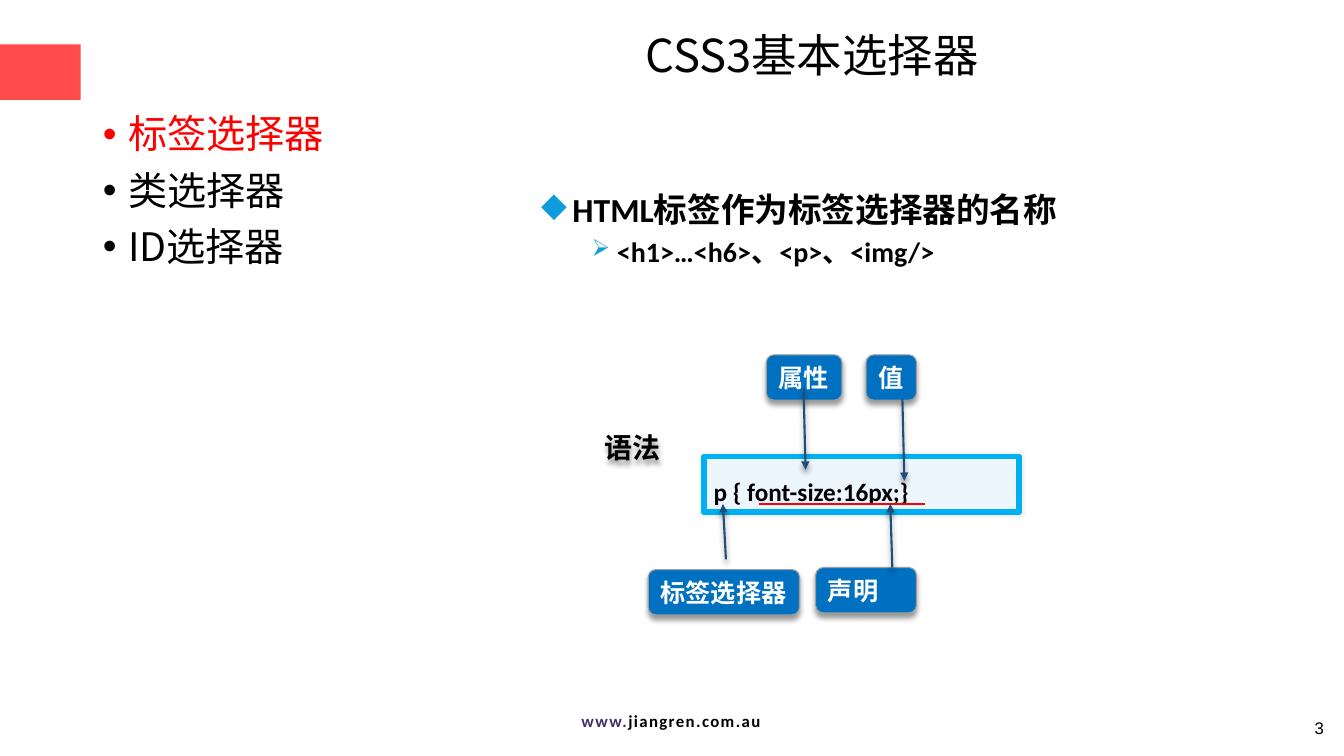
from lxml import etree
from pptx import Presentation
from pptx.dml.color import RGBColor
from pptx.enum.shapes import MSO_CONNECTOR, MSO_SHAPE
from pptx.enum.text import MSO_ANCHOR, MSO_AUTO_SIZE, PP_ALIGN
from pptx.oxml.ns import qn
from pptx.util import Emu, Pt

PX = 9144  # 100 px to the inch
CJK, LATIN, SANS = "Noto Sans CJK SC", "Calibri", "Arial"
BLACK, WHITE, RED = "000000", "FFFFFF", "FF0000"
BLUE, ARROW, BULLET = "0070C0", "1F4E79", "0E9CDE"
LEFT, CENTER, RIGHT = PP_ALIGN.LEFT, PP_ALIGN.CENTER, PP_ALIGN.RIGHT
TOP, MIDDLE, BOTTOM = MSO_ANCHOR.TOP, MSO_ANCHOR.MIDDLE, MSO_ANCHOR.BOTTOM
RECT, ROUNDED = MSO_SHAPE.RECTANGLE, MSO_SHAPE.ROUNDED_RECTANGLE
CALLOUT = MSO_SHAPE.ROUNDED_RECTANGULAR_CALLOUT
STRAIGHT = MSO_CONNECTOR.STRAIGHT
NO_FIT = MSO_AUTO_SIZE.NONE


def rgb(value):
    return RGBColor.from_string(value)


def px(*values):
    return [Emu(v * PX) for v in values]


def child(parent, tag, **attrs):
    return etree.SubElement(parent, qn(tag), {k: str(v) for k, v in attrs.items()})


class SlideBuilder:
    def __init__(self, slide):
        self.slide = slide

    def style(self, p, size, font, color=BLACK, bold=False, align=LEFT):
        p.alignment = align
        for r in p.runs:
            r.font.size, r.font.name, r.font.bold = Pt(size), font, bold
            r.font.color.rgb = rgb(color)
            child(r._r.get_or_add_rPr(), "a:ea", typeface=CJK)

    def frame(self, sp, anchor=TOP, wrap=True):
        tf = sp.text_frame
        tf.auto_size, tf.word_wrap, tf.vertical_anchor = NO_FIT, wrap, anchor
        return tf

    def bullet(self, p, char, margin, hang, color=None, percent=100):
        pPr = p._p.get_or_add_pPr()
        pPr.set("marL", str(margin * PX))
        pPr.set("indent", str(-hang * PX))
        if color:
            child(child(pPr, "a:buClr"), "a:srgbClr", val=color)
        child(pPr, "a:buSzPct", val=percent * 1000)
        child(pPr, "a:buChar", char=char)

    def shadow(self, sp, alpha=40, blur=4, dist=3):
        spPr = sp._element.spPr
        effects = spPr.find(qn("a:effectLst"))
        if effects is None:
            effects = child(spPr, "a:effectLst")
        outer = child(effects, "a:outerShdw", blurRad=Pt(blur), dist=Pt(dist),
                      dir=5400000, algn="ctr", rotWithShape=0)
        child(child(outer, "a:srgbClr", val=BLACK), "a:alpha", val=alpha * 1000)

    def place(self, sp, box):
        sp.left, sp.top, sp.width, sp.height = px(*box)

    def title(self, text, box):
        sp = self.slide.shapes.title
        self.place(sp, box)
        tf = self.frame(sp, MIDDLE)
        tf.text = text
        p = tf.paragraphs[0]
        p.line_spacing = 0.9
        self.style(p, 32.4, CJK)

    def body(self, items, box):
        sp = self.slide.placeholders[1]
        self.place(sp, box)
        tf = self.frame(sp)
        tf.text = "\n".join(text for text, _ in items)
        for i, (p, (_, color)) in enumerate(zip(tf.paragraphs, items)):
            p.line_spacing = 0.9
            p.space_before = Pt(10 if i else 0)
            self.bullet(p, "•", 25, 25)
            self.style(p, 28, CJK, color)

    def text(self, text, box, size, font, anchor=TOP, wrap=True, **style):
        sp = self.slide.shapes.add_textbox(*px(*box))
        tf = self.frame(sp, anchor, wrap)
        tf.text = text
        for p in tf.paragraphs:
            self.style(p, size, font, **style)
        return sp

    def shape(self, kind, box, fill, line=None, width=0.75, adjust=()):
        sp = self.slide.shapes.add_shape(kind, *px(*box))
        sp.shadow.inherit = False
        sp.fill.solid()
        sp.fill.fore_color.rgb = rgb(fill)
        if line:
            sp.line.color.rgb, sp.line.width = rgb(line), Pt(width)
        else:
            sp.line.fill.background()
        for i, value in enumerate(adjust):
            sp.adjustments[i] = value
        return sp

    def callout(self, text, box, wrap=False):
        sp = self.shape(CALLOUT, box, BLUE, "9D9D9D", adjust=(-0.5, 0, 0.17))
        self.shadow(sp)
        tf = self.frame(sp, BOTTOM, wrap)
        tf.text = text
        self.style(tf.paragraphs[0], 18, SANS, WHITE, True)

    def line(self, ends, color, width, arrow=False):
        cx = self.slide.shapes.add_connector(STRAIGHT, *px(*ends))
        cx.line.color.rgb, cx.line.width = rgb(color), Pt(width)
        if arrow:
            child(cx.line._get_or_add_ln(), "a:tailEnd", type="triangle")
            self.shadow(cx)
        else:
            child(cx._element.spPr, "a:effectLst")


def main():
    prs = Presentation()
    prs.slide_width, prs.slide_height = px(1333, 750)
    s = SlideBuilder(prs.slides.add_slide(prs.slide_layouts[1]))

    # Accent block and footer
    s.shape(RECT, (0, 44, 80, 55), "FF4B4C")
    sp = s.text("www.", (488, 700, 355, 30), 12, LATIN)
    tf = sp.text_frame
    tf.margin_left, tf.margin_top, tf.margin_right, tf.margin_bottom = px(5, 5, 5, 5)
    p = tf.paragraphs[0]
    p.add_run().text = "jiangren.com.au"
    s.style(p, 12, LATIN, bold=True, align=CENTER)
    p.runs[0].font.color.rgb = rgb("413068")
    for r in p.runs:
        r._r.get_or_add_rPr().set("spc", "100")

    # Title and list of selectors
    s.title("CSS3基本选择器", (630, 29, 410, 57))
    s.body([("标签选择器", RED), ("类选择器", BLACK), ("ID选择器", BLACK)],
           (92, 109, 1150, 567))

    # Explanation
    sp = s.text("HTML标签作为标签选择器的名称\n<h1>…<h6>、<p>、<img/>",
                (477, 182, 836, 125), 24, LATIN, bold=True)
    heading, tags = sp.text_frame.paragraphs
    s.bullet(heading, "◆", 81, 31, BULLET)
    tags.space_before = Pt(4)
    s.bullet(tags, "➢", 125, 25, BULLET, 85)
    tags.runs[0].font.size = Pt(20)

    # Syntax box
    sp = s.shape(ROUNDED, (698, 453, 313, 55), "EDF5FD", "00B0F0", 4, (0,))
    s.shadow(sp, 10, 3, 0)
    tf = s.frame(sp, MIDDLE)
    tf.text = "p { font-size:16px;}"
    tf.paragraphs[0].line_spacing = 1.5
    s.style(tf.paragraphs[0], 18, LATIN, bold=True)
    s.line((753, 500, 917, 500), RED, 2)
    sp = s.text("语法", (590, 422, 76, 44), 20, CJK, MIDDLE, False, bold=True)
    s.shadow(sp)

    # Labels and arrows
    s.callout("标签选择器", (643, 565, 150, 45))
    s.callout("声明", (809, 563, 100, 45), wrap=True)
    s.callout("属性", (760, 352, 75, 45))
    s.callout("值", (859, 352, 50, 45))
    for ends in ((885, 563, 883, 500), (720, 555, 717, 500),
                 (797, 385, 799, 466), (895, 396, 897, 477)):
        s.line(ends, ARROW, 1.5, arrow=True)

    # Page number
    s.text("3", (1012, 702, 311, 40), 12, SANS, MIDDLE, align=RIGHT)
    prs.save("out.pptx")


if __name__ == "__main__":
    main()
